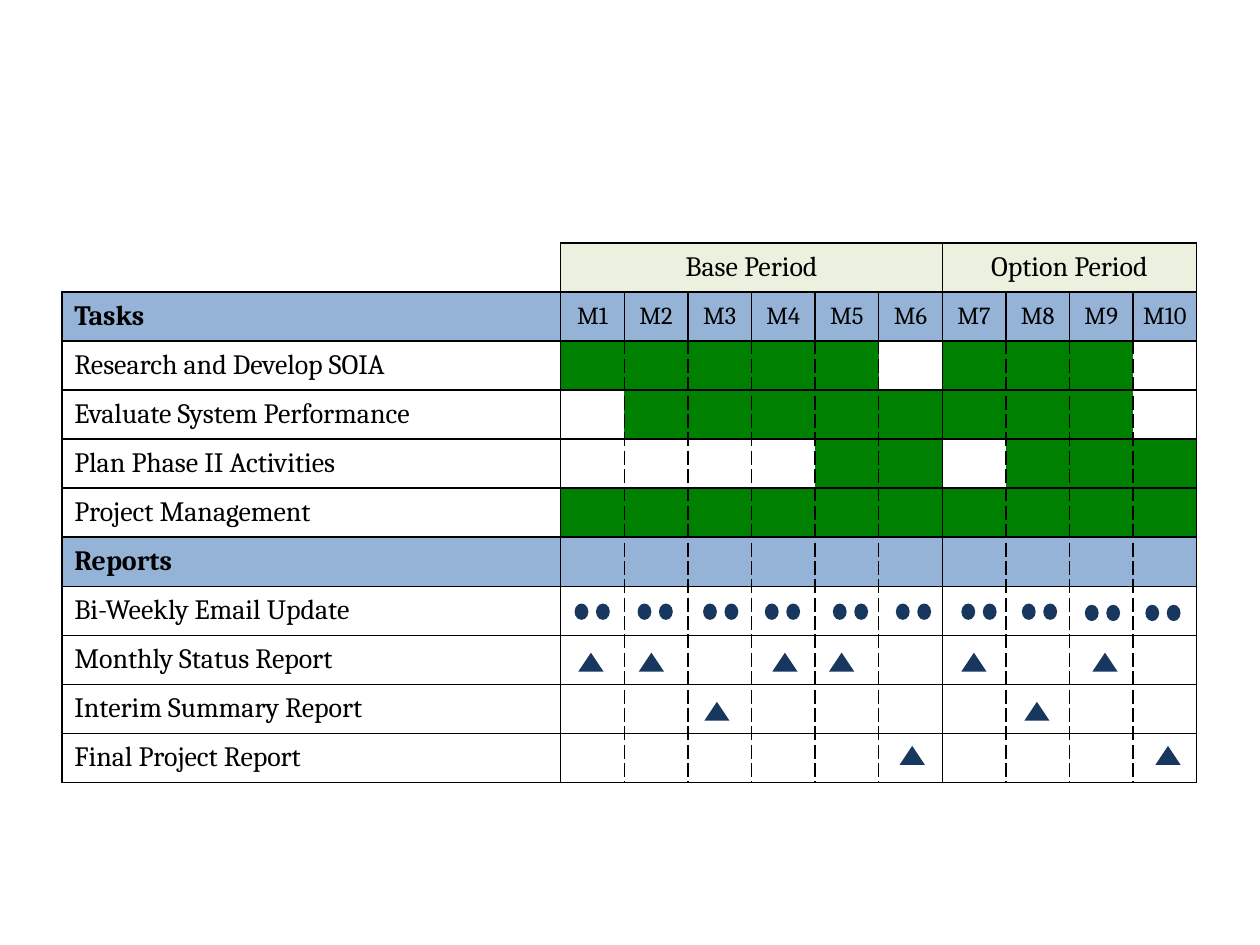
from pptx import Presentation
from pptx.dml.color import RGBColor
from pptx.enum import shapes, text
from pptx.oxml import parse_xml
from pptx.oxml.ns import nsdecls
from pptx.util import Inches, Pt

FONT = "Cambria"
BLACK, GREEN, BLUE, CREAM, NAVY = "000000", "008000", "95B3D7", "EBF1DE", "17375E"

PERIODS = [("Base Period", 1, 6), ("Option Period", 7, 10)]
MONTHS = [f"M{number}" for number in range(1, 11)]
ROWS = [
    ("Tasks", []),
    ("Research and Develop SOIA", [1, 2, 3, 4, 5, 7, 8, 9]),
    ("Evaluate System Performance", [2, 3, 4, 5, 6, 7, 8, 9]),
    ("Plan Phase II Activities", [5, 6, 8, 9, 10]),
    ("Project Management", range(1, 11)),
    ("Reports", []),
    ("Bi-Weekly Email Update", []),
    ("Monthly Status Report", []),
    ("Interim Summary Report", []),
    ("Final Project Report", []),
]
HEADINGS = ("Tasks", "Reports")
UPDATE_DOTS = [(4.56, 4.79), (5.06, 4.79), (5.58, 4.79), (6.07, 4.79), (6.61, 4.79),
               (7.11, 4.79), (7.63, 4.79), (8.11, 4.79), (8.61, 4.8), (9.09, 4.8)]
REPORT_MARKS = {
    5.18: [4.59, 5.07, 6.13, 6.58, 7.63, 8.67],
    5.57: [5.59, 8.13],
    5.92: [7.14, 9.17],
}
LEFT, TOP, WIDTH, HEIGHT = 0.49, 1.93, 9.01, 4.28
LABEL_WIDTH = 3.96
MONTH_WIDTH = (WIDTH - LABEL_WIDTH) / len(MONTHS)
ROW_HEIGHT = HEIGHT / (len(ROWS) + 1)


def color(value):
    return RGBColor.from_string(value)


def set_borders(cell, **dashes):
    properties = cell._tc.get_or_add_tcPr()
    for side in "LRTB":
        dash = dashes.get(side, "solid")
        if dash == "none":
            line = f'<a:ln{side} {nsdecls("a")} w="0"><a:noFill/></a:ln{side}>'
        else:
            line = (f'<a:ln{side} {nsdecls("a")} w="12700"><a:solidFill><a:srgbClr val="{BLACK}"/>'
                    f'</a:solidFill><a:prstDash val="{dash}"/></a:ln{side}>')
        properties.append(parse_xml(line))


def set_fill(cell, value):
    if value:
        cell.fill.solid()
        cell.fill.fore_color.rgb = color(value)
    else:
        cell.fill.background()


def write(cell, words, size=16, bold=False, indent=0, align=text.PP_ALIGN.LEFT):
    cell.text_frame.text = words
    cell.margin_left, cell.margin_right = Inches(indent), 0
    cell.margin_top = cell.margin_bottom = Inches(0.05)
    cell.vertical_anchor = text.MSO_ANCHOR.MIDDLE
    paragraph = cell.text_frame.paragraphs[0]
    paragraph.alignment = align
    font = paragraph.runs[0].font
    font.name, font.size, font.bold = FONT, Pt(size), bold
    font.color.rgb = color(BLACK)


def add_mark(kind, left, top, width, height):
    mark = page.shapes.add_shape(kind, Inches(left), Inches(top), Inches(width), Inches(height))
    mark.shadow.inherit = False
    mark.fill.solid()
    mark.fill.fore_color.rgb = color(NAVY)
    mark.line.fill.background()


deck = Presentation()
deck.slide_width, deck.slide_height = Inches(10), Inches(7.5)
page = deck.slides.add_slide(deck.slide_layouts[6])

schedule = page.shapes.add_table(
    len(ROWS) + 1, len(MONTHS) + 1, Inches(LEFT), Inches(TOP), Inches(WIDTH), Inches(HEIGHT)).table
schedule.first_row = schedule.horz_banding = False
for index, column in enumerate(schedule.columns):
    column.width = Inches(MONTH_WIDTH if index else LABEL_WIDTH)
for row in schedule.rows:
    row.height = Inches(ROW_HEIGHT)
    for cell in row.cells:
        cell.margin_top = cell.margin_bottom = 0

corner = schedule.cell(0, 0)
set_borders(corner, L="none", T="none")
set_fill(corner, None)
for title, first, last in PERIODS:
    for index in range(first, last + 1):
        set_borders(schedule.cell(0, index))
        set_fill(schedule.cell(0, index), CREAM)
    schedule.cell(0, first).merge(schedule.cell(0, last))
    write(schedule.cell(0, first), title, align=text.PP_ALIGN.CENTER)

period_starts = [first for title, first, last in PERIODS]
period_ends = [last for title, first, last in PERIODS]
for row_index, (label, active) in enumerate(ROWS, 1):
    heading = label in HEADINGS
    label_cell = schedule.cell(row_index, 0)
    set_borders(label_cell)
    set_fill(label_cell, BLUE if heading else None)
    write(label_cell, label, bold=heading, indent=0.1)
    for month, name in enumerate(MONTHS, 1):
        cell = schedule.cell(row_index, month)
        solid = row_index == 1
        set_borders(cell,
                    L="solid" if solid or month in period_starts else "sysDash",
                    R="solid" if solid or month in period_ends else "sysDash")
        set_fill(cell, BLUE if heading else GREEN if month in active else None)
        if row_index == 1:
            write(cell, name, size=14, align=text.PP_ALIGN.CENTER)

for left, top in UPDATE_DOTS:
    for offset in (0, 0.17):
        add_mark(shapes.MSO_SHAPE.OVAL, left + offset, top, 0.11, 0.13)
for top, lefts in REPORT_MARKS.items():
    for left in lefts:
        add_mark(shapes.MSO_SHAPE.ISOSCELES_TRIANGLE, left, top, 0.2, 0.15)

deck.save("out.pptx")
